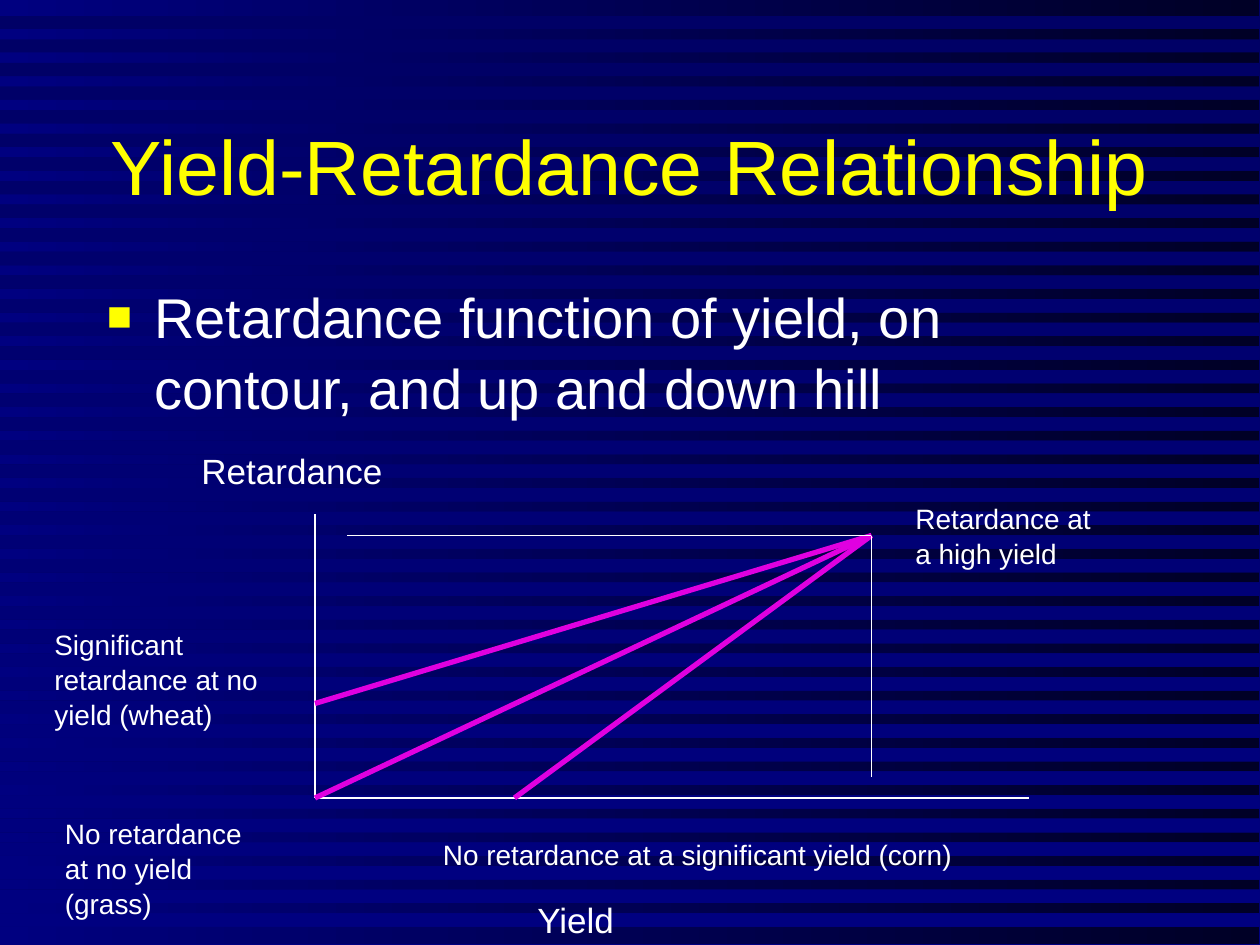
from lxml import etree
from pptx import Presentation
from pptx.dml.color import RGBColor
from pptx.enum.shapes import MSO_CONNECTOR, MSO_SHAPE
from pptx.enum.text import MSO_ANCHOR, MSO_AUTO_SIZE, PP_ALIGN
from pptx.oxml.ns import qn
from pptx.util import Inches, Pt

LINE, RECT = MSO_CONNECTOR.STRAIGHT, MSO_SHAPE.RECTANGLE
LEFT, MID = PP_ALIGN.LEFT, PP_ALIGN.CENTER
TOP, CORE = MSO_ANCHOR.TOP, MSO_ANCHOR.MIDDLE
GROW, FIXED = MSO_AUTO_SIZE.SHAPE_TO_FIT_TEXT, MSO_AUTO_SIZE.NONE

HUE = {"night": "000026", "deep": "000066", "navy": "000080",
       "gold": "FFFF00", "white": "FFFFFF", "pink": "E000E0"}
FONT = "Arial"
COLS, ROWS, CELL = 120, 90, 1 / 12
BARS, FIRST, STEP, THICK = 39, 1.5, 2.25, 1.25

TITLE = "Yield-Retardance Relationship"
POINT = "Retardance function of yield, on contour, and up and down hill"
LABELS = [
    ("Yield", (50, 84.8, 13, 5.3), 20),
    ("No retardance at a significant yield (corn)", (41, 79, 69, 4.4), 16),
    ("Retardance", (18, 42, 34, 5.3), 20),
    ("No retardance at no yield (grass)", (5, 77, 21, 10.8), 16),
    ("Significant retardance at no yield (wheat)", (4, 59, 24, 10.8), 16),
    ("Retardance at a high yield", (86, 47, 20, 7.7), 16),
]
ZERO, PEAK = (30, 76), (83, 51)
AXES = [((30, 49), ZERO), (ZERO, (98, 76))]
CURVES = [(30, 67), ZERO, (49, 76)]
GUIDES = [(83, 74), (33, 51)]


def grid(*nums):
    return [Inches(n * CELL) for n in nums]


def blend(fill, start, end, angle):
    fill.gradient()
    fill.gradient_angle = angle
    for stop, name in zip(fill.gradient_stops, (start, end)):
        stop.color.rgb = RGBColor.from_string(HUE[name])


def plain(shape, start, end, angle):
    shape.shadow.inherit = False
    shape.line.fill.background()
    blend(shape.fill, start, end, angle)


def bullet(para):
    props = para._p.get_or_add_pPr()
    props.set("marL", str(Inches(0.375)))
    props.set("indent", str(-Inches(0.375)))
    tint = etree.SubElement(props, qn("a:buClr"))
    etree.SubElement(tint, qn("a:srgbClr"), val=HUE["gold"])
    etree.SubElement(props, qn("a:buSzPct"), val="75000")
    etree.SubElement(props, qn("a:buFont"), typeface=FONT)
    etree.SubElement(props, qn("a:buChar"), char="■")


def write(text, place, size, color="white", align=LEFT, anchor=TOP,
          fit=FIXED, mark=False):
    frame = slide.shapes.add_textbox(*grid(*place)).text_frame
    frame.word_wrap = True
    frame.auto_size = fit
    frame.vertical_anchor = anchor
    para = frame.paragraphs[0]
    if mark:
        bullet(para)
    para.alignment = align
    para.line_spacing = 1.05
    run = para.add_run()
    run.text = text
    run.font.name = FONT
    run.font.size = Pt(size)
    run.font.color.rgb = RGBColor.from_string(HUE[color])


def draw(start, end, color="white", width=1):
    line = slide.shapes.add_connector(LINE, *grid(*start, *end))
    line.line.color.rgb = RGBColor.from_string(HUE[color])
    line.line.width = Pt(width)
    etree.SubElement(line._element.spPr, qn("a:effectLst"))


deck = Presentation()
deck.slide_width, deck.slide_height = grid(COLS, ROWS)
slide = deck.slides.add_slide(deck.slide_layouts[6])
blend(slide.background.fill, "deep", "navy", 270)

panel = slide.shapes.add_shape(RECT, *grid(0, 0, COLS - 0.1, ROWS - 0.1))
plain(panel, "night", "navy", 180)

edge = []
for row in range(BARS):
    top = FIRST + row * STEP
    low = top + THICK
    edge += [grid(COLS, top), grid(0, top), grid(0, low), grid(COLS, low)]
path = slide.shapes.build_freeform(*edge[0])
path.add_line_segments(edge[1:], close=True)
plain(path.convert_to_shape(), "deep", "navy", 270)

write(TITLE, (9, 8, 102, 15), 44, color="gold", align=MID, anchor=CORE)
write(POINT, (9, 26, 102, 54), 32, mark=True)
for start, end in AXES:
    draw(start, end)
for foot in CURVES:
    draw(PEAK, foot, color="pink", width=3)
for end in GUIDES:
    draw(PEAK, end)
for text, place, size in LABELS:
    write(text, place, size, fit=GROW)

deck.save("out.pptx")
